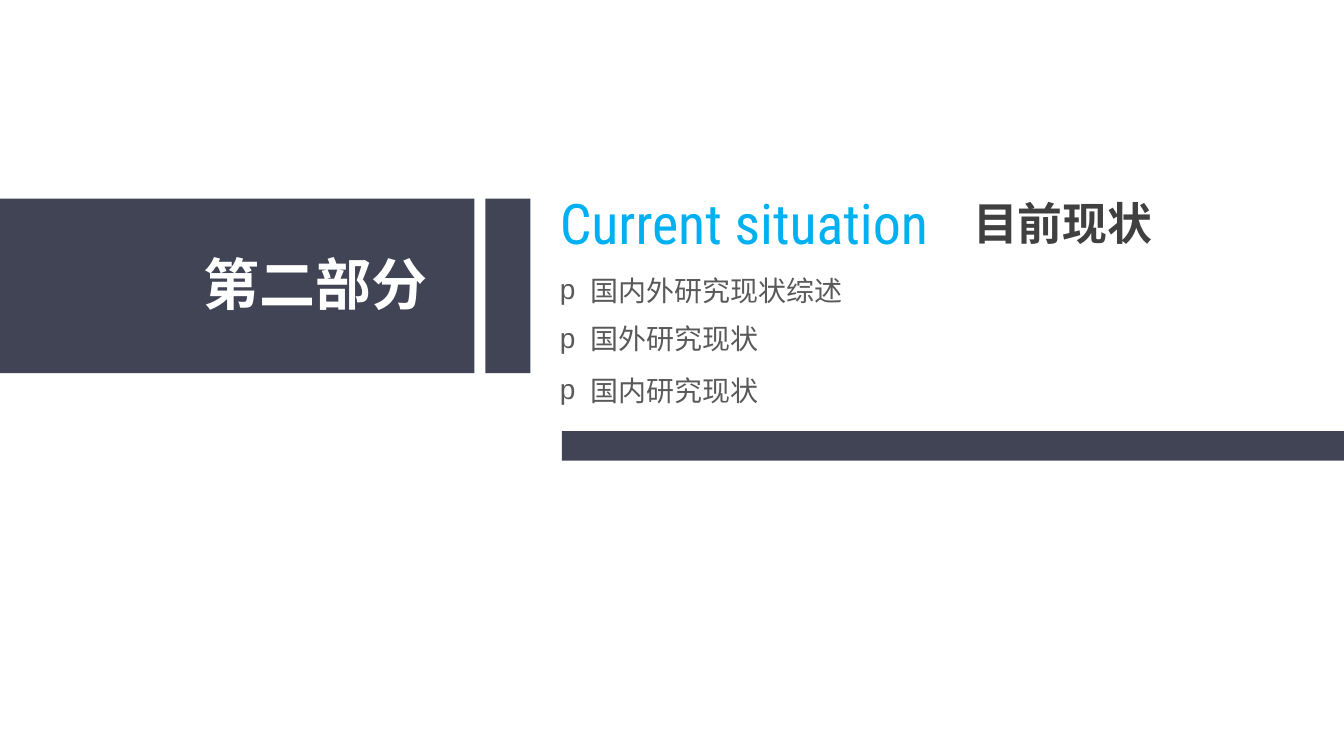
import dataclasses
import typing

import lxml.etree
import pptx
import pptx.dml.color
import pptx.enum.shapes
import pptx.enum.text
import pptx.oxml.ns
import pptx.util

WIDE = pptx.util.Inches(10)
HIGH = WIDE * 9 // 16
CELL = WIDE / 100
SANS = "Noto Sans CJK SC"
SLATE = "414455"
TOP = 14.78
LEFT = 41.25


@dataclasses.dataclass
class Bar:
    col: float
    row: float
    cols: float
    rows: float


@dataclasses.dataclass
class Label:
    col: float
    row: float
    cols: float
    rows: float
    text: str
    color: str
    form: dict[str, typing.Any]
    mark: str = ""


def tint(value: str) -> pptx.dml.color.RGBColor:
    return pptx.dml.color.RGBColor.from_string(value)


def grid(item: Bar | Label) -> list[int]:
    return [round(n * CELL) for n in (item.col, item.row, item.cols, item.rows)]


def add_tag(parent: typing.Any, tag: str, **values: str) -> None:
    node = lxml.etree.SubElement(parent, pptx.oxml.ns.qn(tag))
    for key, value in values.items():
        node.set(key, value)


def draw_bar(slide: typing.Any, bar: Bar) -> None:
    shape = slide.shapes.add_shape(pptx.enum.shapes.MSO_SHAPE.RECTANGLE, *grid(bar))
    shape.shadow.inherit = False
    shape.fill.solid()
    shape.fill.fore_color.rgb = tint(SLATE)
    shape.line.fill.background()


def draw_label(slide: typing.Any, label: Label) -> None:
    frame = slide.shapes.add_textbox(*grid(label)).text_frame
    inset = pptx.util.Inches(0.04)
    layout = {f"margin_{side}": inset for side in ("left", "right", "top", "bottom")}
    layout["word_wrap"] = False
    layout["auto_size"] = pptx.enum.text.MSO_AUTO_SIZE.SHAPE_TO_FIT_TEXT
    for key, value in layout.items():
        setattr(frame, key, value)
    para = frame.paragraphs[0]
    if label.mark:
        props = para._p.get_or_add_pPr()
        indent = pptx.util.Inches(0.23)
        props.set("marL", str(indent))
        props.set("indent", str(-indent))
        add_tag(props, "a:buFont", typeface="Arial")
        add_tag(props, "a:buChar", char=label.mark)
    run = para.add_run()
    run.text = label.text
    run.font.color.rgb = tint(label.color)
    for key, value in label.form.items():
        setattr(run.font, key, value)
    add_tag(run._r.get_or_add_rPr(), "a:ea", typeface=label.form["name"])


def main() -> None:
    deck = pptx.Presentation()
    deck.slide_width, deck.slide_height = WIDE, HIGH
    slide = deck.slides.add_slide(deck.slide_layouts[6])

    part = {"name": SANS, "size": pptx.util.Pt(30), "bold": True}
    head = {"name": "Roboto Condensed", "size": pptx.util.Pt(30)}
    title = {"name": SANS, "size": pptx.util.Pt(24), "bold": True}
    body = {"name": SANS, "size": pptx.util.Pt(15)}
    topics = [
        ("国内外研究现状综述", 19.95, 22),
        ("国外研究现状", 23.55, 15.7),
        ("国内研究现状", 27.4, 15.7),
    ]
    labels = [
        Label(14.75, 18.2, 17.6, 6.6, "第二部分", "FFFFFF", part),
        *(
            Label(LEFT, row, cols, 3.7, text, "595959", body, "p")
            for text, row, cols in topics
        ),
        Label(LEFT, 13.6, 30, 5.8, "Current situation", "00B0F0", head),
        Label(72, 14.15, 14.2, 5.3, "目前现状", "404040", title),
    ]
    draw_bar(slide, Bar(0, TOP, 35.3, 13))
    for label in labels:
        draw_label(slide, label)
    for bar in (Bar(41.82, 32.08, 58.18, 2.2), Bar(36.12, TOP, 3.35, 13)):
        draw_bar(slide, bar)
    deck.save("out.pptx")


if __name__ == "__main__":
    main()
